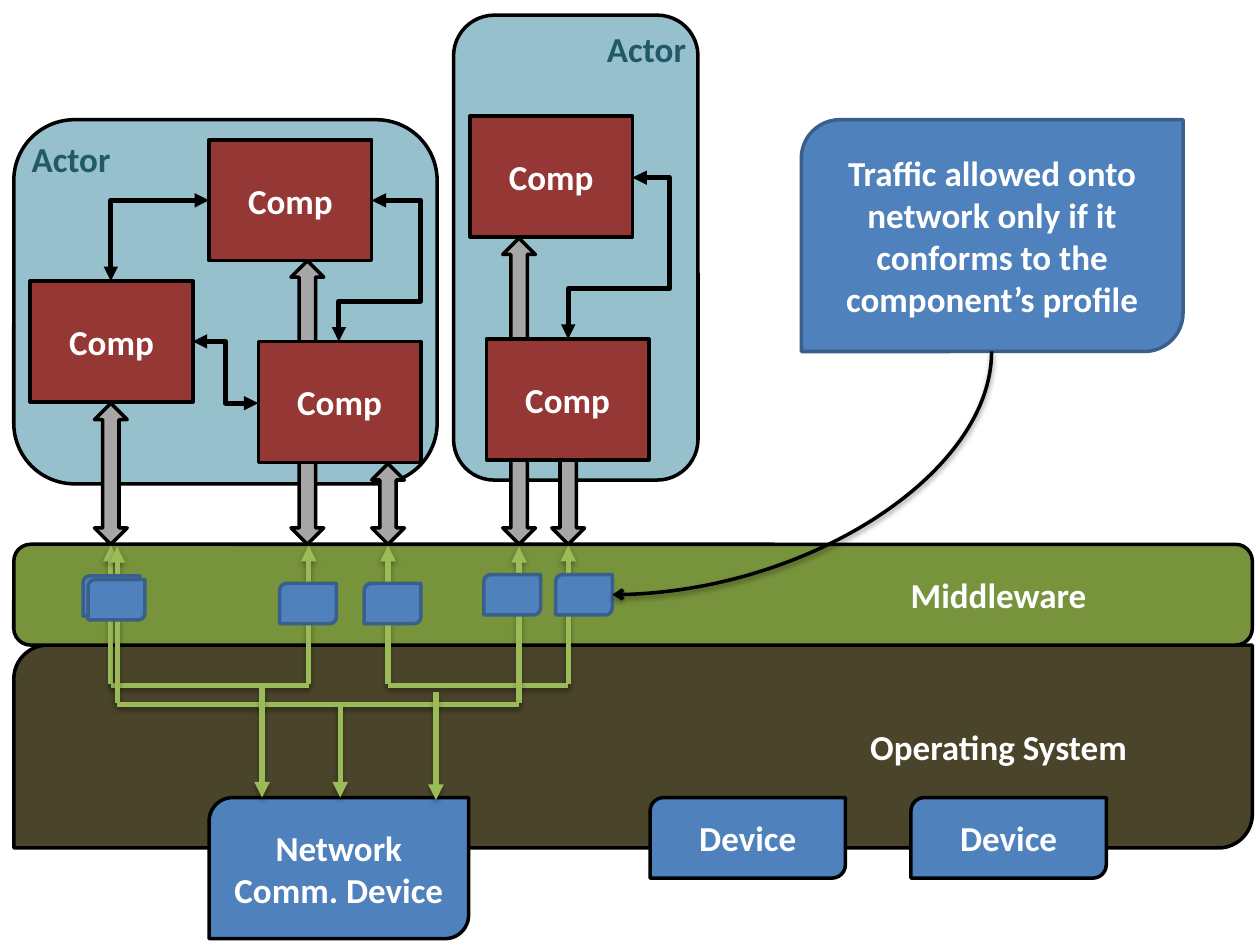
"""Build a slide showing actors, middleware, operating system and network devices."""
from dataclasses import dataclass

from lxml.etree import SubElement
from pptx import Presentation
from pptx.dml.color import RGBColor
from pptx.enum.shapes import MSO_CONNECTOR as Connector, MSO_SHAPE as Shape
from pptx.enum.text import MSO_ANCHOR as Anchor, PP_ALIGN as Align
from pptx.oxml.ns import qn
from pptx.util import Inches, Pt


@dataclass(frozen=True)
class Theme:
    font: str = "Calibri"
    text_size: float = 20
    outline: float = 2
    link: float = 2.75
    flow: float = 3
    black: str = "000000"
    white: str = "FFFFFF"
    teal: str = "31859C"
    dark_teal: str = "215968"
    brown: str = "4A452A"
    olive: str = "77933C"
    red: str = "953735"
    gray: str = "A6A6A6"
    blue: str = "4F81BD"
    dark_blue: str = "3A5F8C"
    green: str = "9BBB59"


THEME = Theme()
BAND_INDENT = 5.9

ACTOR = dict(kind=Shape.ROUNDED_RECTANGLE, fill=THEME.teal, opacity=51,
             color=THEME.dark_teal, anchor=Anchor.TOP, insets=(0, 0, 0, 0))
BAND = dict(insets=(BAND_INDENT, 0.05, 0.1, 0.05))
SYSTEM = dict(BAND, kind=Shape.ROUND_2_DIAG_RECTANGLE, fill=THEME.brown)
MIDDLEWARE = dict(BAND, kind=Shape.ROUNDED_RECTANGLE, fill=THEME.olive)
ARROW = dict(kind=Shape.UP_DOWN_ARROW, fill=THEME.gray)
COMP = dict(kind=Shape.RECTANGLE, fill=THEME.red)
DEVICE = dict(kind=Shape.ROUND_2_DIAG_RECTANGLE, fill=THEME.blue)
GATE = dict(DEVICE, line=THEME.dark_blue)

LAYERS = [
    ((3.6, 0.12, 1.94, 3.69), "Actor", dict(ACTOR, align=Align.RIGHT)),
    ((0.11, 0.95, 3.36, 2.89), "Actor", dict(ACTOR, align=Align.LEFT)),
    ((0.11, 5.12, 9.83, 1.61), "Operating System", SYSTEM),
    ((0.11, 4.32, 9.83, 0.8), "Middleware", MIDDLEWARE),
]
MIDDLEWARE_TOP = 4.32
ARROW_WIDTH = 0.26
ARROW_TOPS = [(0.75, 3.2), (4.38, 3.2), (3.99, 1.89), (2.31, 2.07), (2.95, 3.68)]
COMP_SIZE = (1.29, 0.96)
COMPS = [(0.24, 2.23), (1.66, 1.11), (3.73, 0.92), (3.86, 2.69), (2.05, 2.71)]
LINKS = [
    ((1.66, 1.59, 0.88, 2.23), "bentConnector2", ()),
    ((2.95, 1.59, 2.69, 2.71), "bentConnector4", (-1.5, 0.714)),
    ((2.05, 3.2, 1.53, 2.71), "bentConnector3", (0.5,)),
    ((5.02, 1.41, 4.51, 2.69), "bentConnector4", (-0.574, 0.688)),
]
DEVICES = [
    ((5.16, 6.33, 1.55, 0.64), "Device", DEVICE),
    ((7.23, 6.33, 1.55, 0.64), "Device", DEVICE),
    ((1.66, 6.33, 2.06, 1.12), "Network Comm. Device", DEVICE),
    ((6.36, 0.95, 3.03, 1.84),
     "Traffic allowed onto network only if it conforms to the component’s profile", GATE),
]
BUSES = [(3.08, 4.51, 4.33, 5.44), (0.88, 2.45, 4.33, 5.44), (0.93, 4.12, 4.34, 5.59)]
GATE_SIZE = (0.45, 0.32)
GATES = [(2.22, 4.63), (2.89, 4.63), (3.84, 4.56), (0.66, 4.57), (0.7, 4.6), (4.41, 4.56)]
POINTER = (4.86, 4.72, 7.87, 2.79)
DROPS = [(2.7, 6.33, 5.59), (3.46, 6.35, 5.49), (2.08, 6.33, 5.46)]


def rgb(value):
    return RGBColor.from_string(value)


def add_text(shape, text, style):
    frame = shape.text_frame
    left, top, right, bottom = style.get("insets", (0.1, 0.05, 0.1, 0.05))
    frame_format = dict(word_wrap=True, vertical_anchor=style.get("anchor", Anchor.MIDDLE),
                        margin_left=Inches(left), margin_top=Inches(top),
                        margin_right=Inches(right), margin_bottom=Inches(bottom))
    for name, value in frame_format.items():
        setattr(frame, name, value)
    paragraph = frame.paragraphs[0]
    paragraph.alignment = style.get("align", Align.CENTER)
    run = paragraph.add_run()
    run.text = text
    for name, value in dict(name=THEME.font, size=Pt(THEME.text_size), bold=True).items():
        setattr(run.font, name, value)
    run.font.color.rgb = rgb(style.get("color", THEME.white))


def add_box(slide, box, text, style):
    shape = slide.shapes.add_shape(style["kind"], *map(Inches, box))
    shape.shadow.inherit = False
    shape.fill.solid()
    shape.fill.fore_color.rgb = rgb(style["fill"])
    if "opacity" in style:
        color = shape.fill._xPr.find(qn("a:solidFill"))[0]
        SubElement(color, qn("a:alpha"), val=str(style["opacity"] * 1000))
    shape.line.color.rgb = rgb(style.get("line", THEME.black))
    shape.line.width = Pt(THEME.outline)
    if text:
        add_text(shape, text, style)


def add_line(slide, ends, color, width, kind=Connector.STRAIGHT, preset=None,
             adjustments=(), head=None, tail=None, shadow=None):
    connector = slide.shapes.add_connector(kind, *map(Inches, ends))
    connector.line.color.rgb = rgb(color)
    connector.line.width = Pt(width)
    properties = connector._element.spPr
    geometry = properties.find(qn("a:prstGeom"))
    if preset:
        geometry.set("prst", preset)
    guides = geometry.find(qn("a:avLst"))
    for number, value in enumerate(adjustments, 1):
        SubElement(guides, qn("a:gd"), name=f"adj{number}", fmla=f"val {round(value * 100000)}")
    outline = properties.find(qn("a:ln"))
    for tag, arrowhead in (("a:headEnd", head), ("a:tailEnd", tail)):
        if arrowhead:
            SubElement(outline, qn(tag), type=arrowhead)
    effects = SubElement(properties, qn("a:effectLst"))
    if shadow:
        opacity, distance = shadow
        outer = SubElement(effects, qn("a:outerShdw"), blurRad=str(Pt(3.1)),
                           dist=str(Pt(distance)), dir="5400000", rotWithShape="0")
        shade = SubElement(outer, qn("a:srgbClr"), val=THEME.black)
        SubElement(shade, qn("a:alpha"), val=str(opacity * 1000))


def add_flow(slide, ends, head=None):
    add_line(slide, ends, THEME.green, THEME.flow, head=head, shadow=(35, 1.8))


presentation = Presentation()
presentation.slide_width, presentation.slide_height = Inches(10), Inches(7.5)
slide = presentation.slides.add_slide(presentation.slide_layouts[6])

arrows = [((x, y, ARROW_WIDTH, MIDDLEWARE_TOP - y), "", ARROW) for x, y in ARROW_TOPS]
comps = [((*place, *COMP_SIZE), "Comp", COMP) for place in COMPS]
for item in LAYERS + arrows + comps:
    add_box(slide, *item)
for ends, preset, adjustments in LINKS:
    add_line(slide, ends, THEME.black, THEME.link, Connector.ELBOW, preset, adjustments,
             head="triangle", tail="triangle")
for item in DEVICES:
    add_box(slide, *item)
for left, right, top, bottom in BUSES:
    for x in (left, right):
        add_flow(slide, (x, top, x, bottom - 0.01), "triangle")
    add_flow(slide, (right, bottom, left, bottom))
for place in GATES:
    add_box(slide, (*place, *GATE_SIZE), "", GATE)
add_line(slide, POINTER, THEME.black, THEME.outline, Connector.CURVE, "curvedConnector2",
         head="arrow", shadow=(38, 1.6))
for x, bottom, top in DROPS:
    add_flow(slide, (x, bottom, x, top), "triangle")

presentation.save("out.pptx")
